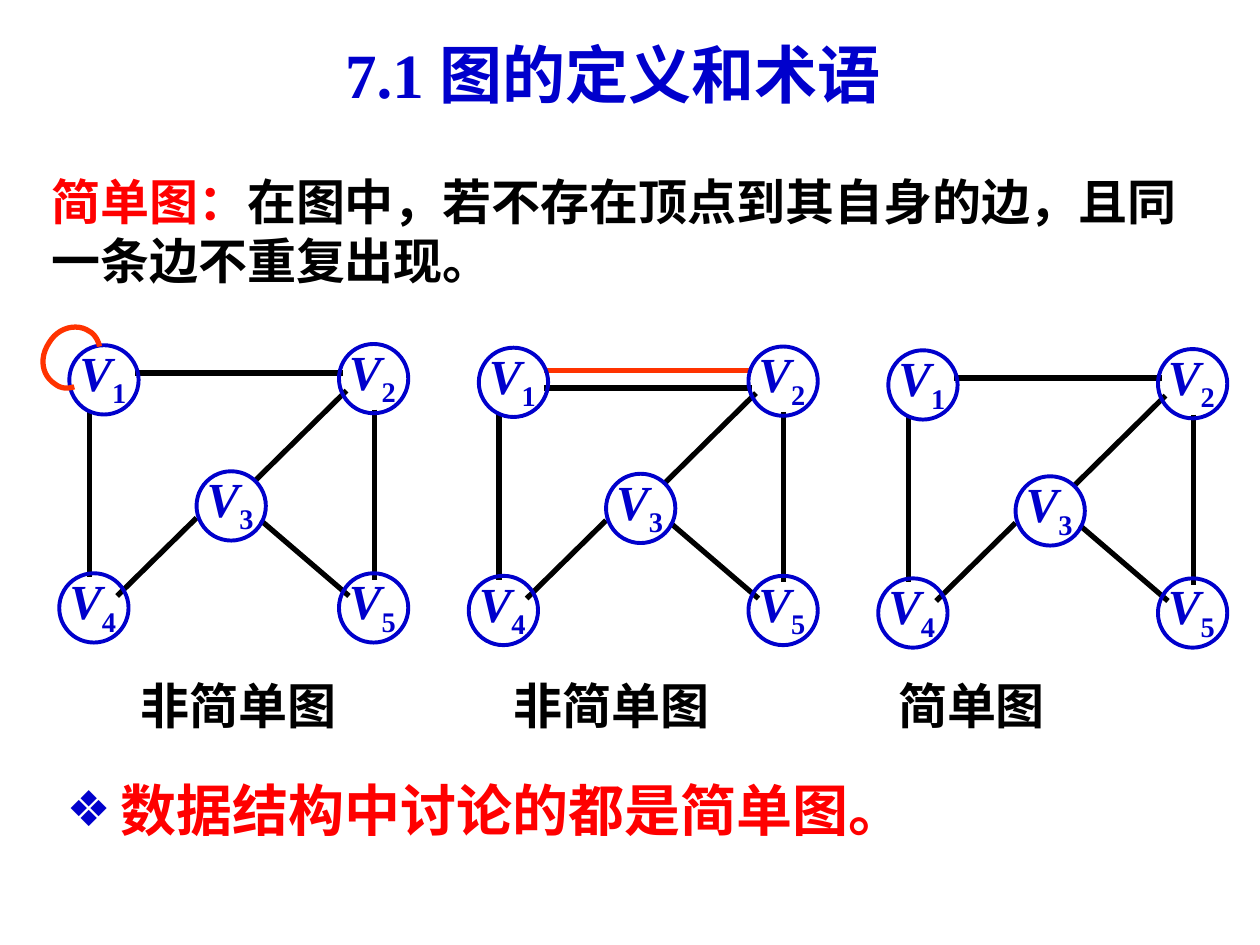
from lxml import etree
from pptx import Presentation
from pptx.dml.color import RGBColor
from pptx.enum.shapes import MSO_CONNECTOR, MSO_SHAPE
from pptx.enum.text import MSO_ANCHOR
from pptx.oxml.ns import qn
from pptx.util import Inches, Pt

STRAIGHT, OVAL = MSO_CONNECTOR.STRAIGHT, MSO_SHAPE.OVAL
TOP, MIDDLE = MSO_ANCHOR.TOP, MSO_ANCHOR.MIDDLE
SERIF, SANS, CJK = "Times New Roman", "Arial", "Noto Sans CJK SC"
BLUE, RED, ORANGE, BLACK = "0000CC", "FF0000", "FF3300", "000000"

# Content: each run is (text, size, colour, font)
TITLE = [("7.1 ", 36, BLUE, SERIF), ("图的定义和术语", 36, BLUE, CJK)]
DEFINITION = [("简单图：", 28, RED, SERIF),
              ("在图中，若不存在顶点到其自身的边，且同一条边不重复出现。", 28, BLACK, SERIF)]
CONCLUSION = [("数据结构中讨论的都是简单图。", 32, RED, SANS)]
CAPTIONS = [(1.02, "非简单图"), (3.98, "非简单图"), (7.03, "简单图")]

# Graph geometry, as drawn in the first graph
NODE = 0.55
NODES = {"1": (0.55, 2.74), "2": (2.69, 2.73), "3": (1.56, 3.74),
         "4": (0.47, 4.55), "5": (2.69, 4.55)}
EDGES = [(1.56, 4.11, 0.93, 4.73), (2.97, 3.25, 2.97, 4.6), (2.75, 3.1, 2.02, 3.82),
         (2.07, 4.13, 2.77, 4.73), (0.71, 3.26, 0.71, 4.58)]
# Edges between V1 and V2 as (height, colour), one list for each graph
TOP_EDGES = [[(2.96, BLACK)], [(3.06, BLACK), (2.92, ORANGE)], [(2.96, BLACK)]]
GRAPH_STEP = (3.25, 0.02)
# Self-loop on V1: cubic curves, each starting where the last one ends
LOOP_START = (0.59, 3.07)
LOOP = [((0.53, 3.09), (0.48, 3.08), (0.44, 3.05)),
        ((0.33, 2.98), (0.31, 2.84), (0.39, 2.72)),
        ((0.46, 2.6), (0.61, 2.56), (0.71, 2.63)),
        ((0.75, 2.65), (0.78, 2.7), (0.79, 2.75))]


def rgb(value):
    return RGBColor.from_string(value)


def add_run(p, text, size, color, name, italic=False):
    r = p.add_run()
    r.text = text
    for key, value in dict(size=Pt(size), name=name, bold=True, italic=italic).items():
        setattr(r.font, key, value)
    r.font.color.rgb = rgb(color)
    etree.SubElement(r.font._element, qn("a:ea")).set("typeface", CJK)
    return r


def add_text(s, box, runs, anchor=TOP, wrap=True):
    tf = s.shapes.add_textbox(*map(Inches, box)).text_frame
    tf.word_wrap, tf.vertical_anchor = wrap, anchor
    for run in runs:
        add_run(tf.paragraphs[0], *run)
    return tf


def add_line(s, ends, color):
    line = s.shapes.add_connector(STRAIGHT, *map(Inches, ends))
    line.line.color.rgb, line.line.width = rgb(color), Pt(3)
    etree.SubElement(line._element.spPr, qn("a:effectLst"))


def style_outline(sp, color, width):
    sp.shadow.inherit = False
    sp.fill.background()
    sp.line.color.rgb, sp.line.width = rgb(color), Pt(width)


def add_node(s, number, x, y):
    sp = s.shapes.add_shape(OVAL, *map(Inches, (x, y, NODE, NODE)))
    style_outline(sp, BLUE, 2.25)
    tf = add_text(s, (x + 0.07, y - 0.05, 0.51, 0.65),
                  [("V", 28, BLUE, SERIF, True)], wrap=False)
    for side, inset in dict(left=0.01, top=0.03, right=0, bottom=0.01).items():
        setattr(tf, "margin_" + side, Inches(inset))
    r = add_run(tf.paragraphs[0], number, 28, BLUE, SERIF)
    r.font._element.set("baseline", "-25000")


def add_loop(s, steps=12):
    points, start = [], LOOP_START
    for c1, c2, end in LOOP:
        for t in (i / steps for i in range(1, steps + 1)):
            weights = ((1 - t) ** 3, 3 * t * (1 - t) ** 2, 3 * t * t * (1 - t), t ** 3)
            points.append([Inches(sum(w * q[axis] for w, q in
                                      zip(weights, (start, c1, c2, end))))
                           for axis in (0, 1)])
        start = end
    # The builder rounds to whole units, so it is given EMU
    builder = s.shapes.build_freeform(*map(Inches, LOOP_START))
    builder.add_line_segments(points, close=False)
    style_outline(builder.convert_to_shape(), ORANGE, 3)


def add_bullet(p, char, color, percent, indent):
    pPr = p._p.get_or_add_pPr()
    pPr.set("marL", str(Inches(indent)))
    pPr.set("indent", str(-Inches(indent)))
    clr = etree.SubElement(pPr, qn("a:buClr"))
    etree.SubElement(clr, qn("a:srgbClr")).set("val", color)
    etree.SubElement(pPr, qn("a:buSzPct")).set("val", str(percent * 1000))
    etree.SubElement(pPr, qn("a:buFont")).set("typeface", SANS)
    etree.SubElement(pPr, qn("a:buChar")).set("char", char)


prs = Presentation()
prs.slide_width, prs.slide_height = Inches(10), Inches(7.5)
s = prs.slides.add_slide(prs.slide_layouts[6])

# Title and definition
add_text(s, (2.64, 0.28, 4.65, 0.61), TITLE, MIDDLE, wrap=False)
add_text(s, (0.31, 1.31, 9.33, 1.03), DEFINITION)

# Three graphs
for i, top_edges in enumerate(TOP_EDGES):
    dx, dy = (i * step for step in GRAPH_STEP)
    top = [((1.07, y, 2.72, y), color) for y, color in top_edges]
    for (x1, y1, x2, y2), color in [(edge, BLACK) for edge in EDGES] + top:
        add_line(s, (x1 + dx, y1 + dy, x2 + dx, y2 + dy), color)
    for number, (x, y) in NODES.items():
        add_node(s, number, x + dx, y + dy)
add_loop(s)

# Captions and conclusion
for x, caption in CAPTIONS:
    add_text(s, (x, 5.31, 2.2, 0.57), [(caption, 28, BLACK, SANS)])
tf = add_text(s, (0.43, 6.11, 6.93, 0.63), CONCLUSION)
add_bullet(tf.paragraphs[0], "❖", BLUE, 88, 0.43)

prs.save("out.pptx")
